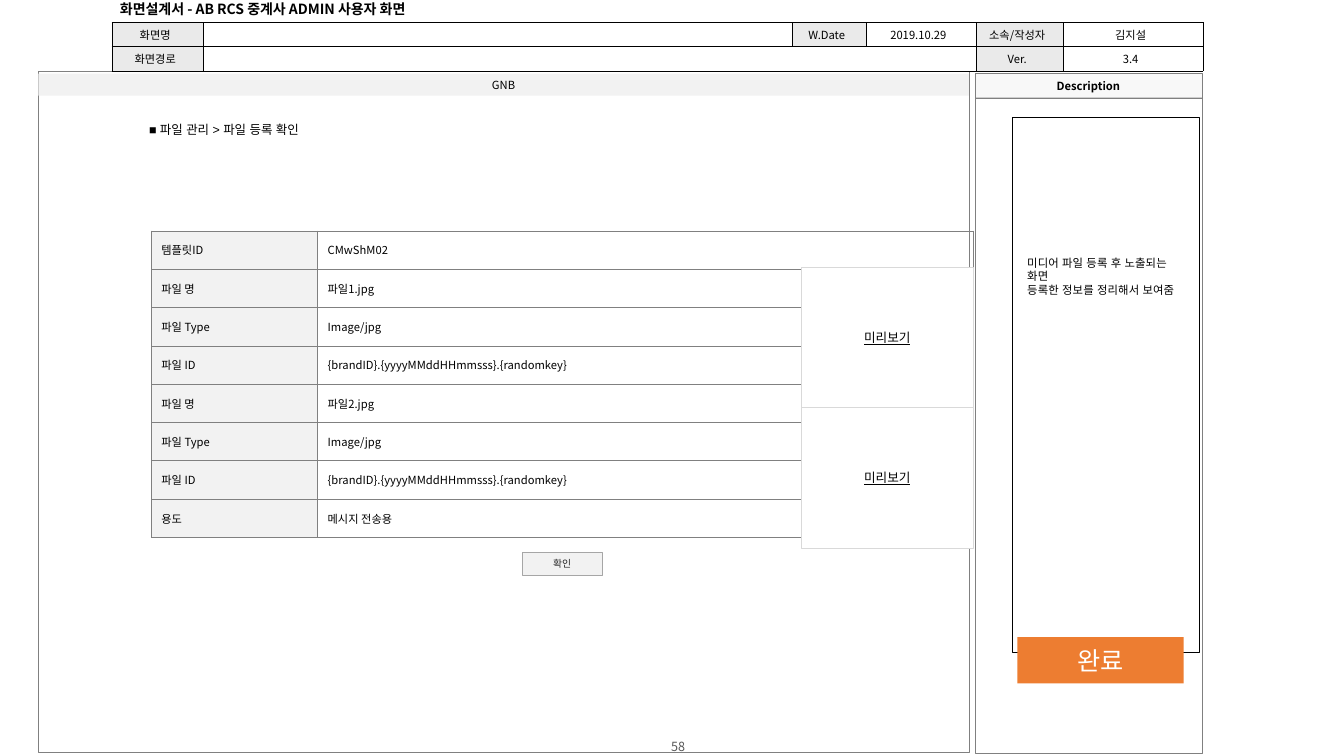
from dataclasses import dataclass

from lxml.etree import SubElement
from pptx import Presentation
from pptx.dml.color import RGBColor
from pptx.enum.shapes import MSO_SHAPE
from pptx.enum.text import MSO_ANCHOR, MSO_AUTO_SIZE, PP_ALIGN
from pptx.oxml.ns import qn
from pptx.util import Inches, Pt

LEFT, CENTER = PP_ALIGN.LEFT, PP_ALIGN.CENTER


@dataclass(frozen=True)
class Theme:
    noto: str = "Noto Sans CJK KR"
    arial: str = "Arial"
    black: str = "000000"
    white: str = "FFFFFF"
    gray: str = "808080"
    page: str = "595959"
    dark: str = "262626"
    button_line: str = "A6A6A6"
    preview_line: str = "D9D9D9"
    label: str = "F2F2F2"
    header: str = "EAEAEA"
    panel: str = "F8F8F8"
    accent: str = "ED7D31"
    body: float = 8
    button: float = 7
    note: float = 8.1
    crumb: float = 8.9
    small: float = 9
    title: float = 10
    status: float = 18


T = Theme()


@dataclass(frozen=True)
class Style:
    size: float = T.body
    font: str = T.noto
    color: str = T.black
    bold: bool = False
    underline: bool = False
    align: PP_ALIGN = CENTER


@dataclass(frozen=True)
class Box:
    x: float
    y: float
    w: float
    h: float
    lines: tuple[str, ...] = ()
    style: Style = Style()
    fill: str | None = None
    line: str | None = None
    line_width: float = 0.25
    insets: tuple[float, float, float, float] = (0.1, 0.05, 0.1, 0.05)
    wrap: bool = True
    text_box: bool = False
    grow: bool = False
    anchor: MSO_ANCHOR = MSO_ANCHOR.MIDDLE


@dataclass(frozen=True)
class Grid:
    x: float
    y: float
    cols: tuple[float, ...]
    row_height: float
    rows: tuple[tuple[str, ...], ...]
    label_cols: tuple[int, ...]
    label_fill: str
    border: str
    style: Style
    insets: tuple[float, float, float, float] = (0.1, 0.05, 0.1, 0.05)
    space_before: float = 0
    merge: tuple[int, int, int] | None = None


def write(p, text: str, style: Style) -> None:
    p.alignment = style.align
    if not text:
        SubElement(p._p, qn("a:endParaRPr"), sz=str(int(style.size * 100)))
        return
    r = p.add_run()
    r.text = text
    r.font.size = Pt(style.size)
    r.font.bold = style.bold
    r.font.underline = style.underline
    r.font.color.rgb = RGBColor.from_string(style.color)
    r.font.name = style.font
    SubElement(r._r.get_or_add_rPr(), qn("a:ea"), typeface=style.font)


def set_fill(fill, color: str | None) -> None:
    if color:
        fill.solid()
        fill.fore_color.rgb = RGBColor.from_string(color)
    else:
        fill.background()


def set_insets(target, insets: tuple[float, float, float, float]) -> None:
    (target.margin_left, target.margin_top,
     target.margin_right, target.margin_bottom) = map(Inches, insets)


def draw_box(s, box: Box) -> None:
    at = [Inches(v) for v in (box.x, box.y, box.w, box.h)]
    if box.text_box:
        sp = s.shapes.add_textbox(*at)
    else:
        sp = s.shapes.add_shape(MSO_SHAPE.RECTANGLE, *at)
        sp.shadow.inherit = False
        set_fill(sp.fill, box.fill)
        set_fill(sp.line.fill, box.line)
        if box.line:
            sp.line.width = Pt(box.line_width)
    tf = sp.text_frame
    tf.word_wrap = box.wrap
    tf.auto_size = MSO_AUTO_SIZE.SHAPE_TO_FIT_TEXT if box.grow else MSO_AUTO_SIZE.NONE
    tf.vertical_anchor = box.anchor
    set_insets(tf, box.insets)
    for i, text in enumerate(box.lines):
        write(tf.add_paragraph() if i else tf.paragraphs[0], text, box.style)


def set_borders(cell, color: str) -> None:
    tcPr = cell._tc.get_or_add_tcPr()
    for side in ("lnL", "lnR", "lnT", "lnB"):
        ln = SubElement(tcPr, qn(f"a:{side}"), w=str(Pt(0.25)))
        SubElement(SubElement(ln, qn("a:solidFill")), qn("a:srgbClr"), val=color)


def draw_grid(s, grid: Grid) -> None:
    n = len(grid.rows)
    table = s.shapes.add_table(
        n, len(grid.cols), Inches(grid.x), Inches(grid.y),
        Inches(sum(grid.cols)), Inches(grid.row_height * n)).table
    table.first_row = table.horz_banding = False
    for col, width in zip(table.columns, grid.cols):
        col.width = Inches(width)
    for i, row in enumerate(grid.rows):
        table.rows[i].height = Inches(grid.row_height)
        for j, text in enumerate(row):
            cell = table.cell(i, j)
            set_borders(cell, grid.border)
            set_fill(cell.fill, grid.label_fill if j in grid.label_cols and text else None)
            set_insets(cell, grid.insets)
            cell.vertical_anchor = MSO_ANCHOR.MIDDLE
            p = cell.text_frame.paragraphs[0]
            p.space_before = Pt(grid.space_before)
            write(p, text, grid.style)
    if grid.merge:
        row, first, last = grid.merge
        table.cell(row, first).merge(table.cell(row, last))


HEADER_INSETS = (0.09, 0.04, 0.09, 0.04)
FILE_ROWS = tuple(
    row for k in (1, 2) for row in (
        ("파일 명", f"파일{k}.jpg"),
        ("파일 Type", "Image/jpg"),
        ("파일 ID", "{brandID}.{yyyyMMddHHmmsss}.{randomkey}")))
PREVIEWS = [
    Box(7.95, 2.65 + 1.39 * k, 1.7, 1.4, ("미리보기",),
        Style(T.small, T.arial, underline=True), T.white, T.preview_line)
    for k in range(2)]

ITEMS: list[Box | Grid] = [
    Box(5.17, 7.34, 3.11, 0.13, ("58",), Style(T.small, color=T.page), text_box=True),
    Box(0.38, 0.71, 9.23, 6.75, line=T.gray),
    Grid(1.11, 0.22, (0.91, 5.84, 0.73, 1.09, 0.87, 1.38), 0.22,
         (("화면명", "", "W.Date", "2019.10.29", "소속/작성자", "김지설"),
          ("화면경로", "", "", "", "Ver.", "3.4")),
         (0, 2, 4), T.header, T.black, Style(),
         (0.04, 0.04, 0.09, 0.04), 1.6, (1, 1, 3)),
    Box(1.1, -0.04, 3.47, 0.26, ("화면설계서 - AB RCS 중계사 ADMIN 사용자 화면",),
        Style(T.title, bold=True, align=LEFT), insets=HEADER_INSETS,
        text_box=True, grow=True),
    Box(9.67, 0.96, 2.25, 6.51, line=T.gray),
    Box(9.67, 0.73, 2.25, 0.24, ("Description",), Style(bold=True),
        T.panel, T.gray, wrap=False),
    Box(0.38, 0.73, 9.23, 0.22, ("GNB",), fill=T.label),
    Box(10.04, 1.16, 1.85, 5.31, line=T.black),
    Box(1.38, 1.16, 2.9, 0.25, ("■ 파일 관리 > 파일 등록 확인",),
        Style(T.crumb, T.arial, align=LEFT), text_box=True, grow=True,
        anchor=MSO_ANCHOR.TOP),
    Box(10.09, 2.49, 1.73, 0.65,
        ("미디어 파일 등록 후 노출되는 화면", "등록한 정보를 정리해서 보여줌"),
        Style(T.note, T.arial, align=LEFT), text_box=True, grow=True,
        anchor=MSO_ANCHOR.TOP),
    Grid(1.5, 2.29, (1.65, 6.5), 0.38,
         (("템플릿ID", "CMwShM02"), *FILE_ROWS, ("용도", "메시지 전송용")),
         (0,), T.label, T.gray, Style(align=LEFT)),
    Box(5.18, 5.48, 0.79, 0.23, ("확인",), Style(T.button, T.arial, T.dark),
        T.label, T.button_line, 0.1, (0.04, 0, 0.04, 0)),
    *PREVIEWS,
    Box(10.09, 6.32, 1.65, 0.46, ("완료",), Style(T.status, color=T.white), T.accent),
]


def main() -> None:
    prs = Presentation()
    prs.slide_width, prs.slide_height = Inches(13.33), Inches(7.5)
    s = prs.slides.add_slide(prs.slide_layouts[6])
    for item in ITEMS:
        if isinstance(item, Box):
            draw_box(s, item)
        else:
            draw_grid(s, item)
    prs.save("out.pptx")


if __name__ == "__main__":
    main()
